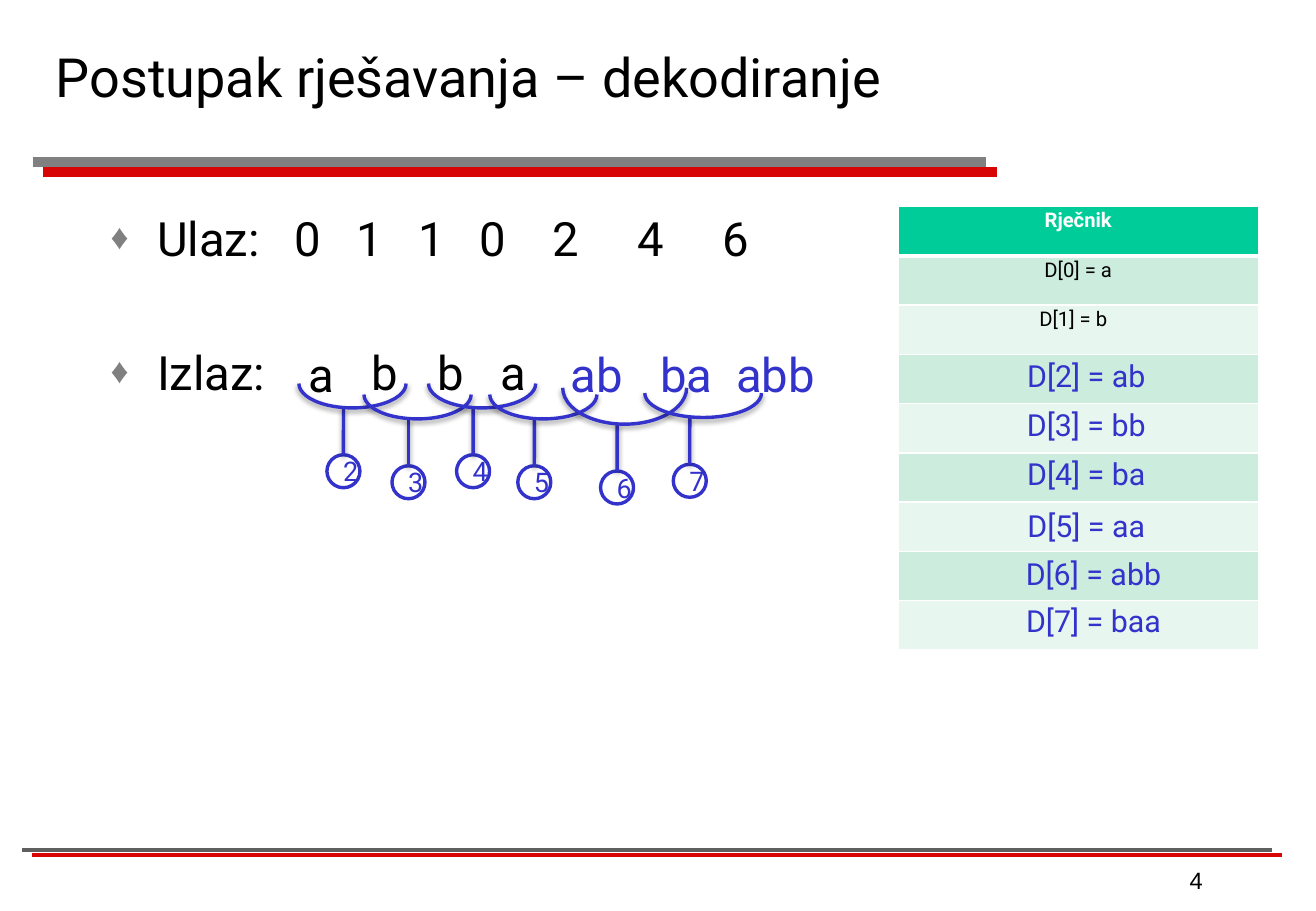
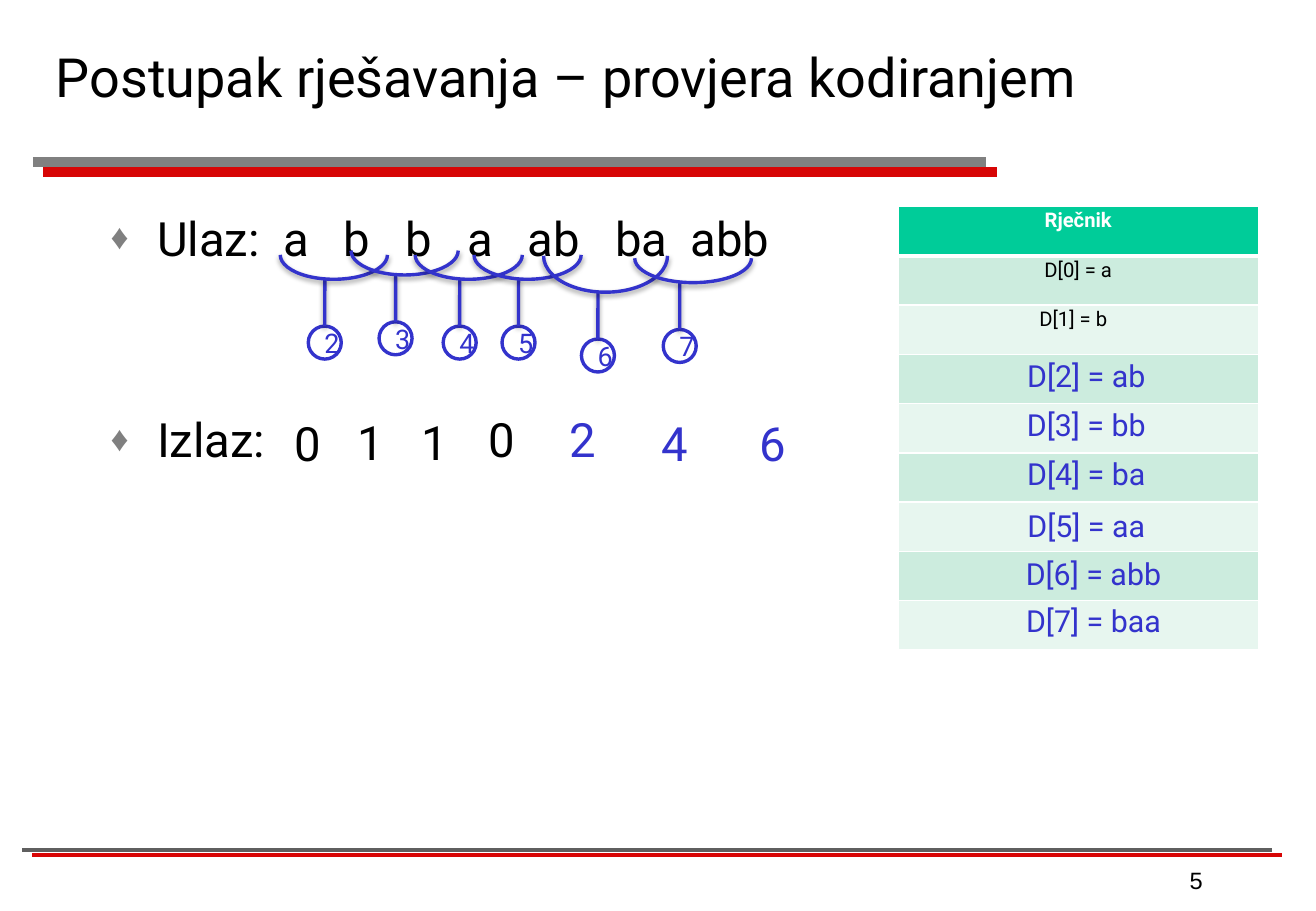
"""Two slides that decode a message with a dictionary and check it by encoding."""
from lxml import etree
from pptx import Presentation
from pptx.dml.color import RGBColor
from pptx.enum.shapes import MSO_CONNECTOR, MSO_SHAPE
from pptx.enum.text import MSO_ANCHOR, PP_ALIGN
from pptx.oxml.ns import qn
from pptx.util import Cm, Pt

STRAIGHT = MSO_CONNECTOR.STRAIGHT
OVAL, BRACKET = MSO_SHAPE.OVAL, MSO_SHAPE.LEFT_BRACKET
LEFT, CENTER, RIGHT = PP_ALIGN.LEFT, PP_ALIGN.CENTER, PP_ALIGN.RIGHT
MIDDLE = MSO_ANCHOR.MIDDLE

COLORS = {
    "text": "000000", "white": "FFFFFF", "blue": "3333CC", "red": "D70505",
    "gray": "808080", "dark_gray": "5F5F5F",
    "header": "00CC99", "row": "CCECDE", "alternate": "E7F6EF",
}
FONT = "Roboto"
SPACE_WIDTH = 6.93
STEM_LENGTH, CODE_SIZE = 0.98, 0.69

DICTIONARY = ["Rječnik", "D[0] = a", "D[1] = b", "", "", "", "", "", ""]
NEW_ENTRIES = [
    ("D[2] = ab", 22.71, 7.49), ("D[3] = bb", 22.71, 8.51),
    ("D[4] = ba", 22.71, 9.53), ("D[5] = aa", 22.71, 10.62),
    ("D[6] = abb", 22.86, 11.63), ("D[7] = baa", 22.86, 12.62),
]
ARCS = [("2", 2.24, 0.51, 0.19), ("3", 2.24, 0.51, 0.19), ("4", 2.24, 0.51, 0.19),
        ("5", 2.24, 0.51, 0.19), ("6", 2.59, 0.76, 0.16), ("7", 2.44, 0.51, 0.28)]
KNOWN_SYMBOLS = 4

SLIDES = [
    {
        "title": "Postupak rješavanja – dekodiranje",
        "number": "4",
        "input": [(3, "0"), (3, "1"), (3, "1"), (3, "0"), (4, "2"), (5, "4"), (5, "6")],
        "output_space": 46,
        "output": [("a", 6.71, 7.32), ("b", 8.05, 7.29), ("b", 9.42, 7.29),
                   ("a", 10.74, 7.29), ("ab", 12.47, 7.32), ("ba", 14.35, 7.32),
                   ("abb", 16.21, 7.32)],
        "stems": [(7.18, 8.53), (8.54, 8.76), (9.89, 8.53),
                  (11.17, 8.76), (12.9, 8.87), (14.42, 8.73)],
    },
    {
        "title": "Postupak rješavanja – provjera kodiranjem",
        "number": "5",
        "input": [(2, "a"), (3, "b"), (3, "b"), (3, "a"), (3, "ab"), (3, "ba"), (2, "abb")],
        "output_space": 86,
        "output": [("0", 6.43, 8.76), ("1", 7.75, 8.74), ("1", 9.09, 8.74),
                   ("0", 10.49, 8.69), ("2", 12.19, 8.69), ("4", 14.1, 8.76),
                   ("6", 16.15, 8.76)],
        "stems": [(6.79, 5.84), (8.27, 5.75), (9.61, 5.84),
                  (10.84, 5.84), (12.5, 6.11), (14.21, 5.91)],
    },
]


def rgb(name):
    return RGBColor.from_string(COLORS[name])


def add_xml(parent, tag, **attributes):
    return etree.SubElement(parent, qn(tag), {k: str(v) for k, v in attributes.items()})


def write(paragraph, text, size=28, color="text", bold=False, font=FONT,
          align=LEFT, line_spacing=None, tracking=0):
    run = paragraph.add_run()
    run.text = text
    run.font.name, run.font.size, run.font.bold = font, Pt(size), bold
    run.font.color.rgb = rgb(color)
    paragraph.alignment = align
    if line_spacing:
        paragraph.line_spacing = line_spacing
    if tracking:
        run._r.get_or_add_rPr().set("spc", str(round(tracking * 100)))


def cast_shadow(shape, color="text", alpha=38, blur=3.1, distance=1.6, angle=90):
    properties = shape._element.spPr
    for old in properties.findall(qn("a:effectLst")):
        properties.remove(old)
    effects = add_xml(properties, "a:effectLst")
    shadow = add_xml(effects, "a:outerShdw", blurRad=Pt(blur), dist=Pt(distance),
                     dir=angle * 60000, algn="ctr", rotWithShape=0)
    tint = add_xml(shadow, "a:srgbClr", val=COLORS[color])
    add_xml(tint, "a:alpha", val=alpha * 1000)


class Deck:
    """Holds the presentation style and the slide being built."""

    def __init__(self):
        self.presentation = Presentation()
        self.presentation.slide_width = Cm(27.51)
        self.presentation.slide_height = Cm(19.05)
        self.slide = None

    def start(self, title, number):
        layout = self.presentation.slide_layouts[1]
        self.slide = self.presentation.slides.add_slide(layout)
        self.line(0.69, 3.38, 20.62, 3.38, "gray", 6)
        self.line(0.46, 17.78, 26.59, 17.78, "dark_gray", 2.25)
        for band, distance, angle in zip(list(self.slide.shapes)[-2:], (8.5, 6.7), (45, 27)):
            cast_shadow(band, "red", 100, 0, distance, angle)
        heading = self.slide.shapes.title
        self.place(heading, 0.91, 0, 23.39, 3.18)
        heading.text_frame.vertical_anchor = MIDDLE
        write(heading.text_frame.paragraphs[0], title, size=32)
        self.label(number, 24.24, 17.98, 2.31, size=14, font="Arial",
                   align=RIGHT, height=0.64)

    def place(self, shape, left, top, width, height):
        shape.left, shape.top = Cm(left), Cm(top)
        shape.width, shape.height = Cm(width), Cm(height)

    def line(self, x1, y1, x2, y2, color, weight):
        connector = self.slide.shapes.add_connector(STRAIGHT, Cm(x1), Cm(y1), Cm(x2), Cm(y2))
        connector.line.color.rgb = rgb(color)
        connector.line.width = Pt(weight)
        return connector

    def label(self, text, center, top, width, height=1.22, **style):
        box = self.slide.shapes.add_textbox(
            Cm(center - width / 2), Cm(top), Cm(width), Cm(height))
        box.text_frame.word_wrap = True
        write(box.text_frame.paragraphs[0], text, **style)

    def bullet(self, paragraph, text):
        properties = paragraph._p.get_or_add_pPr()
        properties.set("marL", str(Cm(0.97)))
        properties.set("indent", str(-Cm(0.97)))
        add_xml(add_xml(properties, "a:buClr"), "a:srgbClr", val=COLORS["gray"])
        add_xml(properties, "a:buSzPct", val=75000)
        add_xml(properties, "a:buChar", char="♦")
        write(paragraph, text)

    def input_and_output(self, symbols, output_space):
        body = self.slide.placeholders[1]
        self.place(body, 2.06, 4.24, 16.69, 12.9)
        source = body.text_frame.paragraphs[0]
        source.space_before = Pt(0)
        self.bullet(source, "Ulaz:")
        for gap, symbol in symbols:
            write(source, " ", tracking=(gap - 1) * SPACE_WIDTH)
            write(source, symbol)
        result = body.text_frame.add_paragraph()
        self.bullet(result, "Izlaz:")
        result.space_before = Pt(output_space)

    def outlined(self, kind, left, top, width, height):
        shape = self.slide.shapes.add_shape(kind, Cm(left), Cm(top), Cm(width), Cm(height))
        shape.shadow.inherit = False
        shape.line.color.rgb = rgb("blue")
        shape.line.width = Pt(2)
        return shape

    def arc(self, code, width, depth, lean, x, y):
        circle = self.outlined(OVAL, x - CODE_SIZE / 2, y + STEM_LENGTH, CODE_SIZE, CODE_SIZE)
        circle.fill.solid()
        circle.fill.fore_color.rgb = rgb("white")
        circle.text_frame.vertical_anchor = MIDDLE
        write(circle.text_frame.paragraphs[0], code, size=16, color="blue", align=CENTER)
        stem = self.line(x, y, x, y + STEM_LENGTH, "blue", 2)
        stem.end_connect(circle, 0)
        cast_shadow(stem)
        bracket = self.outlined(BRACKET, x + lean - depth / 2, y - depth / 2 - width / 2,
                                depth, width)
        bracket.rotation = 270
        bracket.adjustments[0] = width / (2 * depth)
        bracket.fill.background()
        cast_shadow(bracket)

    def border(self, cell, row):
        weights = {"L": 1, "R": 1, "T": 3 if row == 1 else 1, "B": 3 if row == 0 else 1}
        properties = cell._tc.get_or_add_tcPr()
        for side, weight in weights.items():
            edge = add_xml(properties, f"a:ln{side}", w=Pt(weight))
            add_xml(add_xml(edge, "a:solidFill"), "a:srgbClr", val=COLORS["white"])

    def dictionary(self):
        count = len(DICTIONARY)
        table = self.slide.shapes.add_table(
            count, 1, Cm(18.77), Cm(4.32), Cm(7.54), Cm(1.03 * count)).table
        for row, entry in enumerate(DICTIONARY):
            cell = table.cell(row, 0)
            self.border(cell, row)
            cell.fill.solid()
            fill = "header" if row == 0 else "row" if row % 2 else "alternate"
            cell.fill.fore_color.rgb = rgb(fill)
            if entry:
                write(cell.text_frame.paragraphs[0], entry, size=12, bold=row == 0,
                      color="text" if row else "white", align=CENTER, line_spacing=0.8)
        table.cell(2, 0).margin_right = Cm(0.46)

    def new_entries(self):
        for entry, center, top in NEW_ENTRIES:
            self.label(entry, center, top, 6.6, height=0.86, size=18, color="blue",
                       align=CENTER, line_spacing=0.8)

    def output(self, symbols):
        for index, (symbol, center, top) in enumerate(symbols):
            color = "text" if index < KNOWN_SYMBOLS else "blue"
            width = 1.12 if index < KNOWN_SYMBOLS else 2.39 if symbol == "abb" else 1.63
            self.label(symbol, center, top, width, color=color,
                       align=CENTER, line_spacing=0.8)


def main():
    deck = Deck()
    for content in SLIDES:
        deck.start(content["title"], content["number"])
        deck.input_and_output(content["input"], content["output_space"])
        deck.dictionary()
        for arc, stem in zip(ARCS, content["stems"]):
            deck.arc(*arc, *stem)
        deck.output(content["output"])
        deck.new_entries()
    deck.presentation.save("out.pptx")


if __name__ == "__main__":
    main()
